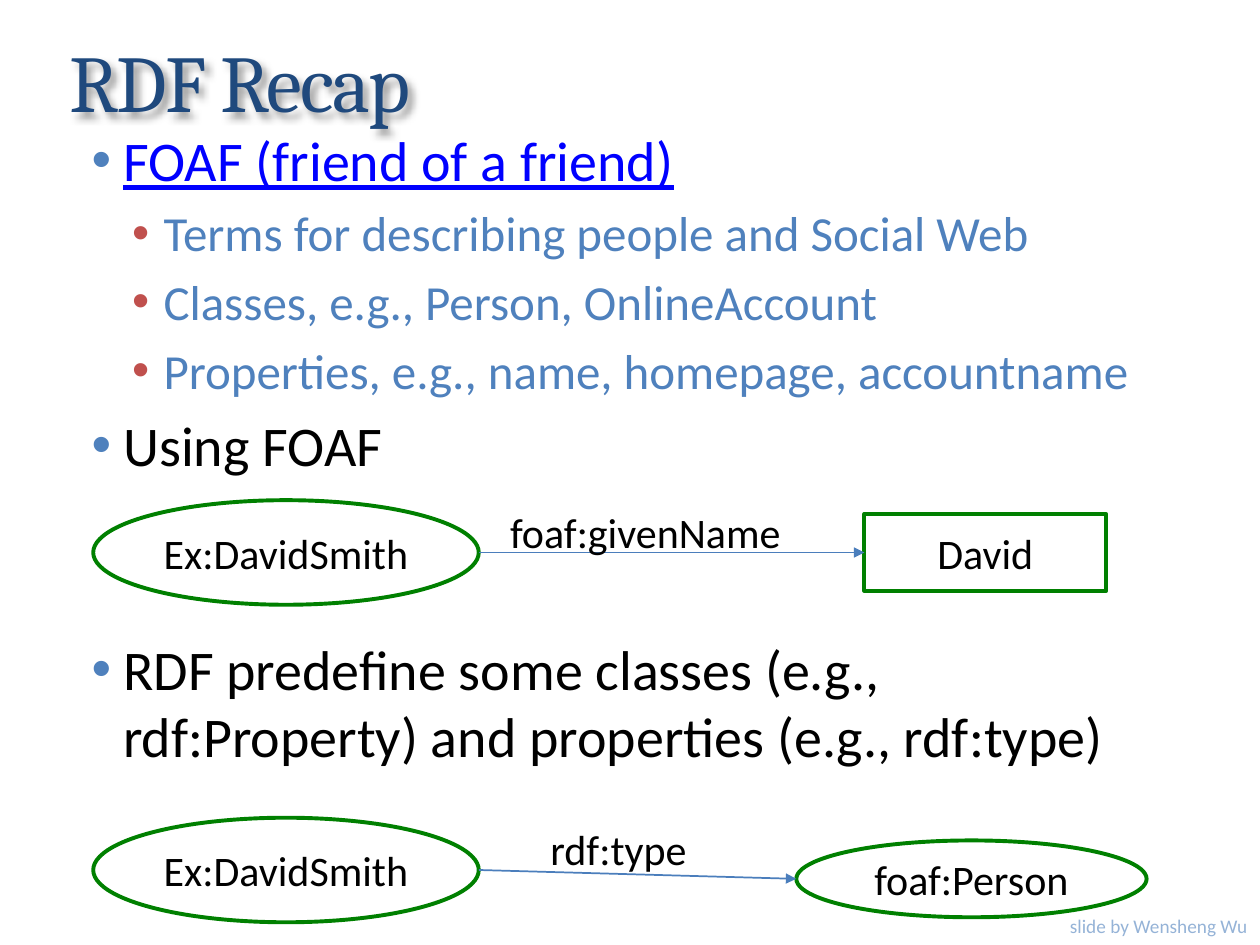
from pptx import Presentation
from pptx.dml.color import RGBColor
from pptx.enum.shapes import MSO_CONNECTOR, MSO_SHAPE
from pptx.enum.text import MSO_ANCHOR, PP_ALIGN
from pptx.oxml.ns import qn
from pptx.util import Inches, Pt
from lxml.etree import SubElement

COLORS = {
    "title": "1F497D", "link": "0000FF", "sub": "4F81BD", "text": "000000",
    "dot": "4F81BD", "subdot": "C0504D", "node": "008000", "arrow": "4B7EBC",
    "credit": "95B3D7", "shade": "000000",
}
BODY = [
    (0, "FOAF (friend of a friend)", "link", 0),
    (1, "Terms for describing people and Social Web", "sub", 5.6),
    (1, "Classes, e.g., Person, OnlineAccount", "sub", 5.6),
    (1, "Properties, e.g., name, homepage, accountname", "sub", 5.6),
    (0, "Using FOAF", "text", 6.4),
    (0, "RDF predefine some classes (e.g., rdf:Property) "
        "and properties (e.g., rdf:type)", "text", 89.5),
]
LEVELS = [(32, 0.38, "dot"), (28, 0.7, "subdot")]


def color(name):
    return RGBColor.from_string(COLORS[name])


def add_run(para, text, size, tone="text", face="Calibri"):
    run = para.add_run()
    run.text = text
    run.font.size = Pt(size)
    run.font.name = face
    run.font.color.rgb = color(tone)
    return run


def add_box(shapes, left, top, width, height, wrap=True):
    box = shapes.add_textbox(*map(Inches, (left, top, width, height)))
    box.text_frame.word_wrap = wrap
    return box


def add_title(shapes):
    box = add_box(shapes, 0.45, 0.09, 9.01, 1.1)
    box.text_frame.vertical_anchor = MSO_ANCHOR.MIDDLE
    run = add_run(box.text_frame.paragraphs[0], "RDF Recap", 46, "title", "Cambria")
    run.font._element.set("spc", "-100")
    effects = SubElement(box._element.spPr, qn("a:effectLst"))
    shade = SubElement(effects, qn("a:outerShdw"), blurRad="50800",
                       dist="50800", dir="2700000", algn="tl", rotWithShape="0")
    tone = SubElement(shade, qn("a:srgbClr"), val=COLORS["shade"])
    SubElement(tone, qn("a:alpha"), val="40000")


def add_bullet(para, left, tone):
    props = para._p.get_or_add_pPr()
    props.set("marL", str(Inches(left)))
    props.set("indent", str(Inches(-0.25)))
    fill = SubElement(props, qn("a:buClr"))
    SubElement(fill, qn("a:srgbClr"), val=COLORS[tone])
    SubElement(props, qn("a:buFont"), typeface="Arial")
    SubElement(props, qn("a:buChar"), char="•")


def add_body(shapes):
    frame = add_box(shapes, 0.5, 0.95, 9, 6.05).text_frame
    for i, (level, text, tone, gap) in enumerate(BODY):
        para = frame.add_paragraph() if i else frame.paragraphs[0]
        size, left, dot = LEVELS[level]
        add_bullet(para, left, dot)
        para.level = level
        para.space_before = Pt(gap)
        run = add_run(para, text, size, tone)
        if tone == "link":
            run.font.underline = True


def add_node(shapes, kind, text, left, top, width, height):
    node = shapes.add_shape(kind, *map(Inches, (left, top, width, height)))
    node.shadow.inherit = False
    node.fill.background()
    node.line.color.rgb = color("node")
    node.line.width = Pt(2.25)
    frame = node.text_frame
    frame.word_wrap = False
    frame.vertical_anchor = MSO_ANCHOR.MIDDLE
    para = frame.paragraphs[0]
    para.alignment = PP_ALIGN.CENTER
    add_run(para, text, 24)
    return node


def add_arrow(shapes, start, end):
    arrow = shapes.add_connector(
        MSO_CONNECTOR.STRAIGHT,
        start.left + start.width, start.top + start.height // 2,
        end.left, end.top + end.height // 2)
    arrow.line.color.rgb = color("arrow")
    arrow.line.width = Pt(1)
    SubElement(arrow.line._get_or_add_ln(), qn("a:tailEnd"), type="triangle")
    SubElement(arrow._element.spPr, qn("a:effectLst"))


def add_triple(shapes, top, kind, value, place, label, left, width):
    group = shapes.add_group_shape().shapes
    start = add_node(group, MSO_SHAPE.OVAL, "Ex:DavidSmith", 0.74, top, 3.06, 0.83)
    end = add_node(group, kind, value, *place)
    add_arrow(group, start, end)
    box = add_box(group, left, top, width, 0.5, False)
    add_run(box.text_frame.paragraphs[0], label, 24)


def add_credit(shapes):
    box = add_box(shapes, 8.37, 7.21, 1.63, 0.29, False)
    para = box.text_frame.paragraphs[0]
    para.alignment = PP_ALIGN.RIGHT
    add_run(para, "slide by Wensheng Wu", 11, "credit")


def main():
    deck = Presentation()
    deck.slide_width, deck.slide_height = Inches(10), Inches(7.5)
    shapes = deck.slides.add_slide(deck.slide_layouts[6]).shapes
    add_title(shapes)
    add_body(shapes)
    add_triple(shapes, 6.49, MSO_SHAPE.OVAL, "foaf:Person",
               (6.32, 6.67, 2.78, 0.61), "rdf:type", 4.27, 1.37)
    add_triple(shapes, 3.97, MSO_SHAPE.RECTANGLE, "David",
               (6.86, 4.08, 1.92, 0.61), "foaf:givenName", 3.95, 2.65)
    add_credit(shapes)
    deck.save("out.pptx")


if __name__ == "__main__":
    main()
